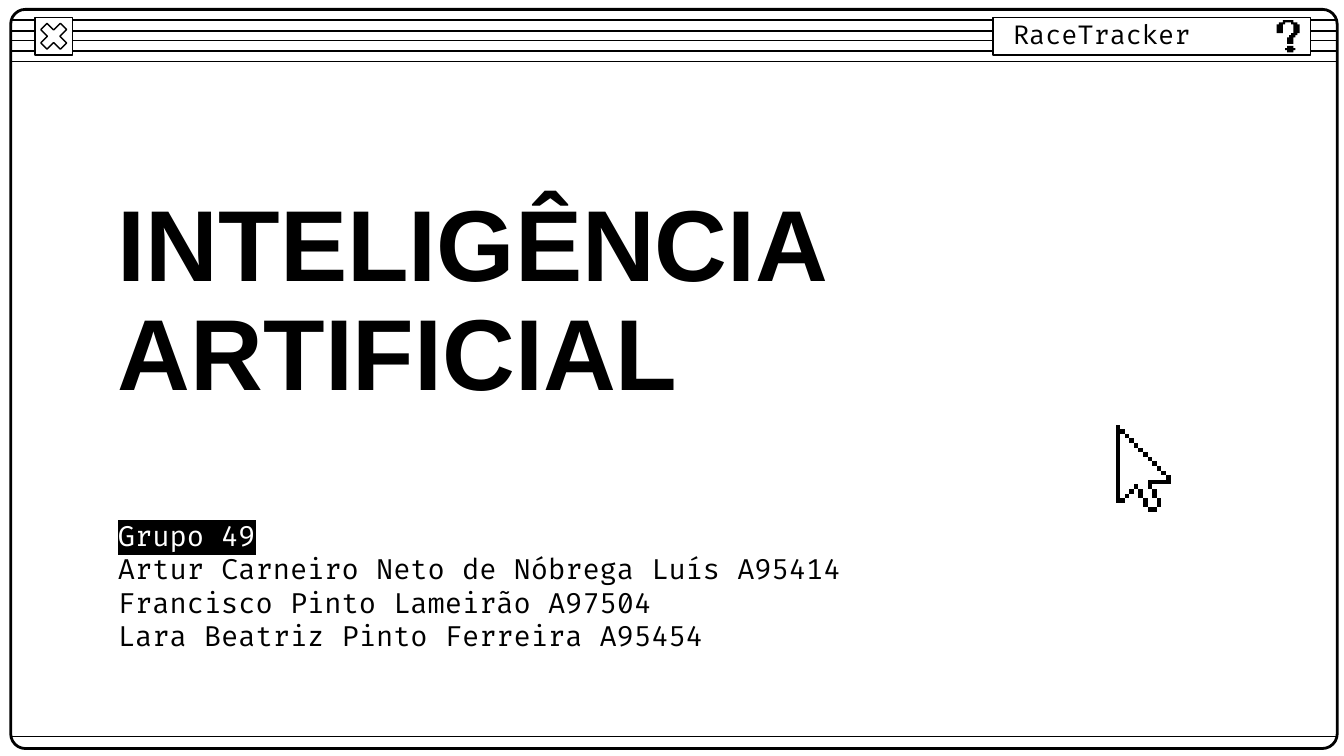
"""Build the title slide styled as a retro desktop window."""
from dataclasses import dataclass
from typing import Optional

from lxml import etree
from pptx import Presentation
from pptx.dml.color import RGBColor
from pptx.enum.shapes import MSO_CONNECTOR, MSO_SHAPE
from pptx.enum.text import MSO_ANCHOR, PP_ALIGN
from pptx.oxml.ns import qn
from pptx.util import Inches, Pt

STRAIGHT = MSO_CONNECTOR.STRAIGHT
RECTANGLE = MSO_SHAPE.RECTANGLE
ROUNDED = MSO_SHAPE.ROUNDED_RECTANGLE
CROSS = MSO_SHAPE.MATH_MULTIPLY
MIDDLE = MSO_ANCHOR.MIDDLE
LEFT = PP_ALIGN.LEFT
BLACK, WHITE = "000000", "FFFFFF"


@dataclass
class Grid:
    left: float
    top: float
    cell_width: float
    cell_height: float

    def place(self, column: int, row: int) -> tuple:
        return (Inches(self.left + column * self.cell_width),
                Inches(self.top + row * self.cell_height))


@dataclass
class Panel:
    kind: int
    left: float
    top: float
    width: float
    height: float
    fill: Optional[str]
    weight: float = 0.75
    adjustment: Optional[float] = None


@dataclass
class Label:
    lines: list
    left: float
    top: float
    width: float
    height: float
    font: str
    size: float
    bold: bool = False
    spacing: float = 1.0


def color(code: str) -> RGBColor:
    return RGBColor.from_string(code)


def paint(shape, fill: Optional[str], weight: float = 0) -> None:
    shape.shadow.inherit = False
    if fill:
        shape.fill.solid()
        shape.fill.fore_color.rgb = color(fill)
    else:
        shape.fill.background()
    if weight:
        shape.line.color.rgb = color(BLACK)
        shape.line.width = Pt(weight)
    else:
        shape.line.fill.background()


def draw_rule(page, y: float) -> None:
    rule = page.shapes.add_connector(STRAIGHT, Inches(0.08), Inches(y), Inches(9.95), Inches(y))
    rule.line.color.rgb = color(BLACK)
    rule.line.width = Pt(0.75)
    etree.SubElement(rule._element.spPr, qn("a:effectLst"))


def draw_panel(page, panel: Panel) -> None:
    box = page.shapes.add_shape(panel.kind, Inches(panel.left), Inches(panel.top),
                                Inches(panel.width), Inches(panel.height))
    if panel.adjustment is not None:
        box.adjustments[0] = panel.adjustment
    paint(box, panel.fill, panel.weight)


def draw_outline(page, grid: Grid, points: list, fill: str) -> None:
    corners = [grid.place(*point) for point in points]
    builder = page.shapes.build_freeform(*corners[0])
    builder.add_line_segments(corners[1:], close=True)
    paint(builder.convert_to_shape(), fill)


def draw_block(page, grid: Grid, column: int, row: int, columns: int = 1, rows: int = 1) -> None:
    far_column, far_row = column + columns, row + rows
    corners = [(column, row), (column, far_row), (far_column, far_row), (far_column, row)]
    draw_outline(page, grid, corners, BLACK)


def draw_label(page, label: Label):
    box = page.shapes.add_textbox(Inches(label.left), Inches(label.top),
                                  Inches(label.width), Inches(label.height))
    frame = box.text_frame
    frame.word_wrap = True
    frame.vertical_anchor = MIDDLE
    frame.margin_left = frame.margin_right = Inches(0.1)
    frame.margin_top = frame.margin_bottom = Inches(0.1)
    frame.text = "\n".join(label.lines)
    for para in frame.paragraphs:
        para.alignment = LEFT
        para.line_spacing = label.spacing
        para.font.name = label.font
        para.font.size = Pt(label.size)
        para.font.bold = label.bold
        para.font.color.rgb = color(BLACK)
    return frame


def highlight(span) -> None:
    span.font.color.rgb = color(WHITE)
    marker = etree.SubElement(span._r.get_or_add_rPr(), qn("a:highlight"))
    etree.SubElement(marker, qn("a:srgbClr"), val=BLACK)


RULES = [0.15, 0.23, 0.3, 0.38, 0.46, 5.48]
PANELS = [
    Panel(ROUNDED, 0.08, 0.07, 9.87, 5.5, None, 1.5, 0.02),
    Panel(RECTANGLE, 0.26, 0.13, 0.28, 0.28, WHITE),
    Panel(CROSS, 0.26, 0.13, 0.28, 0.28, WHITE, adjustment=0.235),
    Panel(RECTANGLE, 7.39, 0.13, 2.36, 0.28, WHITE),
]
QUESTION = Grid(9.5, 0.15, 0.17 / 11, 0.24 / 15)
QUESTION_DOT = [(5, 12), (5, 13), (4, 13), (4, 14), (5, 14), (5, 15),
                (8, 15), (8, 14), (9, 14), (9, 13), (8, 13), (8, 12)]
QUESTION_HOOK = [(3, 0), (3, 1), (1, 1), (1, 2), (0, 2), (0, 6), (3, 6), (3, 2),
                 (4, 2), (4, 1), (7, 1), (7, 2), (8, 2), (8, 6), (7, 6), (7, 7),
                 (6, 7), (6, 8), (5, 8), (5, 11), (8, 11), (8, 8), (9, 8), (9, 7),
                 (10, 7), (10, 6), (11, 6), (11, 2), (10, 2), (10, 1), (8, 1), (8, 0)]
CURSOR = Grid(8.3, 3.16, 0.41 / 12, 0.65 / 19)
CURSOR_STAIRS = [(step, step - rise) for step in range(1, 12) for rise in (1, 0)]
CURSOR_BODY = [(0, 0)] + CURSOR_STAIRS + [
    (12, 11), (12, 13), (8, 13), (8, 14), (9, 14), (9, 16), (10, 16), (10, 18),
    (9, 18), (9, 19), (7, 19), (7, 18), (6, 18), (6, 16), (5, 16), (5, 14),
    (4, 14), (4, 15), (3, 15), (3, 16), (2, 16), (2, 17), (0, 17)]
CURSOR_BLOCKS = [(0, 0, 1, 17)] + [(step, step) for step in range(1, 12)] + [
    (7, 12, 5, 1), (7, 13), (4, 13), (5, 14, 1, 2), (6, 16, 1, 2), (7, 18, 2, 1),
    (8, 14, 1, 2), (9, 16, 1, 2), (3, 14), (2, 15), (1, 16)]
TITLE = Label(["INTELIGÊNCIA\u00a0\vARTIFICIAL"], 0.78, 1.03, 8.44, 2.45, "Arial", 54, True, 0.9)
AUTHORS = Label(["Grupo 49", "Artur Carneiro Neto de Nóbrega Luís A95414",
                 "Francisco Pinto\u00a0Lameirão\u00a0A97504",
                 "Lara Beatriz Pinto Ferreira A95454"], 0.78, 3.48, 8.44, 1.75, "Fira Code", 15)
WINDOW_NAME = Label(["RaceTracker"], 7.44, 0.03, 1.96, 0.45, "Fira Code", 14)

deck = Presentation()
deck.slide_width = Inches(10)
deck.slide_height = deck.slide_width * 9 // 16
page = deck.slides.add_slide(deck.slide_layouts[6])
for rule_y in RULES:
    draw_rule(page, rule_y)
for window_panel in PANELS:
    draw_panel(page, window_panel)
for mark in (QUESTION_DOT, QUESTION_HOOK):
    draw_outline(page, QUESTION, mark, BLACK)
draw_label(page, TITLE)
authors = draw_label(page, AUTHORS)
highlight(authors.paragraphs[0].runs[0])
draw_outline(page, CURSOR, CURSOR_BODY, WHITE)
for block in CURSOR_BLOCKS:
    draw_block(page, CURSOR, *block)
draw_label(page, WINDOW_NAME)
deck.save("out.pptx")
